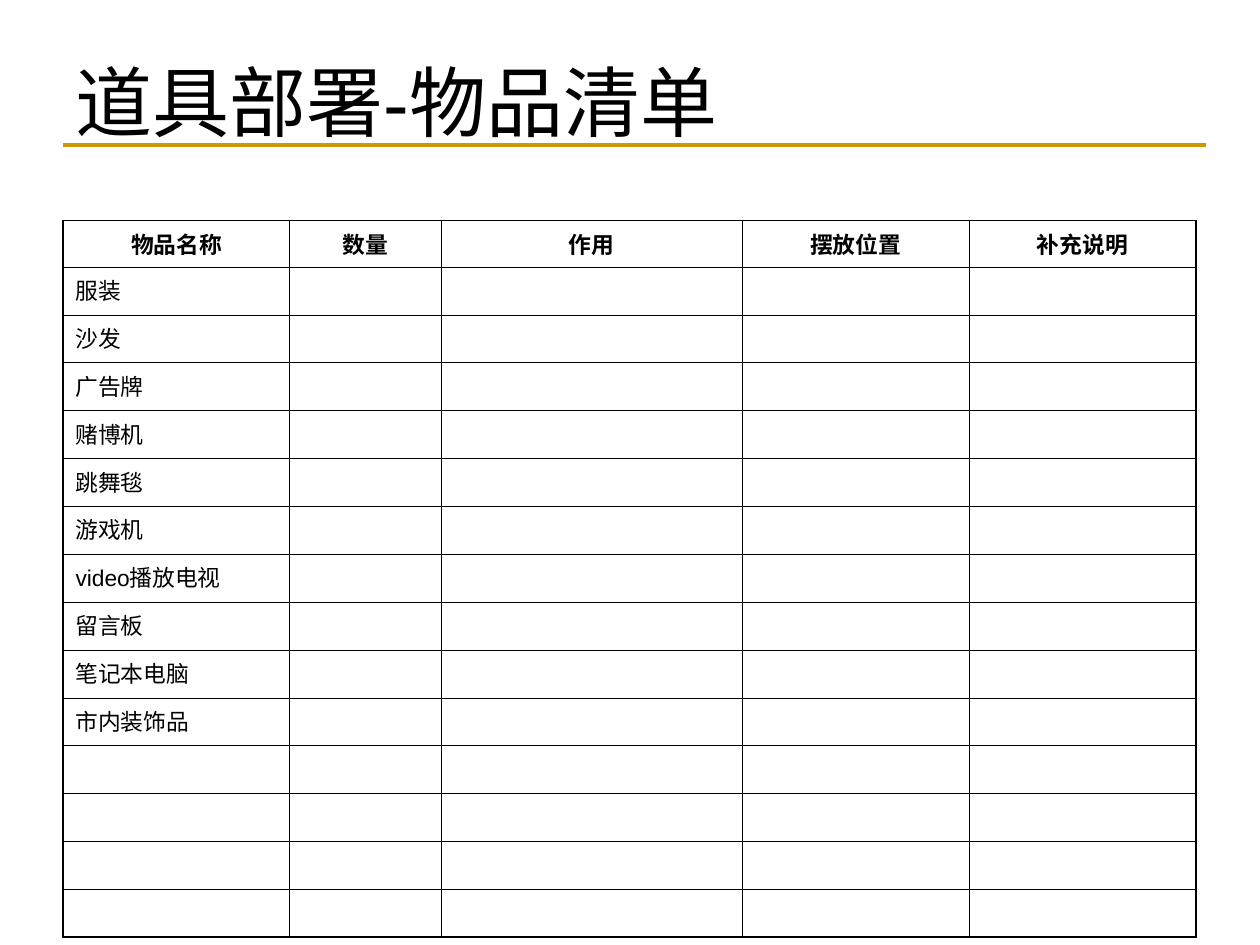
from lxml.etree import SubElement as Sub
from pptx import Presentation
from pptx.dml.color import RGBColor
from pptx.enum.shapes import MSO_CONNECTOR as Conn
from pptx.enum.text import MSO_ANCHOR as Anchor, PP_ALIGN as Align
from pptx.oxml.ns import qn
from pptx.util import Inches, Pt

BLACK = RGBColor(0, 0, 0)
GOLD = RGBColor(0xCC, 0x99, 0x00)
FONT = "Arial"
THIN, THICK = Pt(0.45), Pt(1.08)

HEADS = ["物品名称", "数量", "作用", "摆放位置", "补充说明"]
ITEMS = ["服装", "沙发", "广告牌", "赌博机", "跳舞毯", "游戏机",
         "video播放电视", "留言板", "笔记本电脑", "市内装饰品"]
SPARE = 4  # empty rows at the end
COLS = [1.8, 1.2, 2.39, 1.8, 1.8]
HEAD_H, ROW_H = 0.37, 0.38


def style(par, size, bold=False):
    for run in par.runs:
        font = run.font
        font.name, font.size, font.bold = FONT, Pt(size), bold
        font.color.rgb = BLACK


def add_title(slide, text, x, y, w, h):
    # Heading
    box = slide.shapes.add_textbox(Inches(x), Inches(y), Inches(w), Inches(h))
    frame = box.text_frame
    frame.word_wrap = True
    frame.vertical_anchor = Anchor.MIDDLE
    frame.text = text
    style(frame.paragraphs[0], 44)

    # Rule along the bottom of the box
    base = Inches(y + h)
    rule = slide.shapes.add_connector(
        Conn.STRAIGHT, Inches(x), base, Inches(x + w), base)
    rule.line.color.rgb = GOLD
    rule.line.width = Pt(2.25)
    Sub(rule._element.spPr, qn("a:effectLst"))


def set_edges(cell, thick):
    props = cell._tc.get_or_add_tcPr()
    for side in "LRTB":
        width = THICK if side in thick else THIN
        line = Sub(props, qn(f"a:ln{side}"), w=str(width))
        Sub(Sub(line, qn("a:solidFill")), qn("a:srgbClr"), val=str(BLACK))


def fill_cell(cell, text, head):
    par = cell.text_frame.paragraphs[0]
    if text:
        par.text = text
        par.space_before = Pt(3.3)
        par.alignment = Align.CENTER if head else Align.LEFT
        style(par, 13, head)
    else:
        # Small enough that an empty cell does not stretch its row
        end = Sub(par._p, qn("a:endParaRPr"), sz="1200")
        Sub(end, qn("a:latin"), typeface=FONT)


def add_list(slide, x, y):
    blank = [""] * (len(HEADS) - 1)
    rows = [HEADS] + [[name] + blank for name in ITEMS + [""] * SPARE]
    last_row, last_col = len(rows) - 1, len(COLS) - 1
    high = HEAD_H + ROW_H * last_row
    table = slide.shapes.add_table(
        len(rows), len(COLS), Inches(x), Inches(y),
        Inches(sum(COLS)), Inches(high)).table
    table.first_row = table.horz_banding = False
    for col, width in zip(table.columns, COLS):
        col.width = Inches(width)

    # Cells, with a thicker frame round the table
    for r, row in enumerate(rows):
        table.rows[r].height = Inches(ROW_H if r else HEAD_H)
        for c, text in enumerate(row):
            cell = table.cell(r, c)
            fill_cell(cell, text, r == 0)
            outer = {"L": c == 0, "R": c == last_col,
                     "T": r == 0, "B": r == last_row}
            set_edges(cell, [side for side in outer if outer[side]])
            cell.fill.background()


def main():
    deck = Presentation()
    deck.slide_width, deck.slide_height = Inches(10), Inches(7.5)
    slide = deck.slides.add_slide(deck.slide_layouts[6])
    add_title(slide, "道具部署-物品清单", 0.5, 0.44, 9.07, 0.71)
    add_list(slide, 0.5, 1.75)
    deck.save("out.pptx")


if __name__ == "__main__":
    main()
